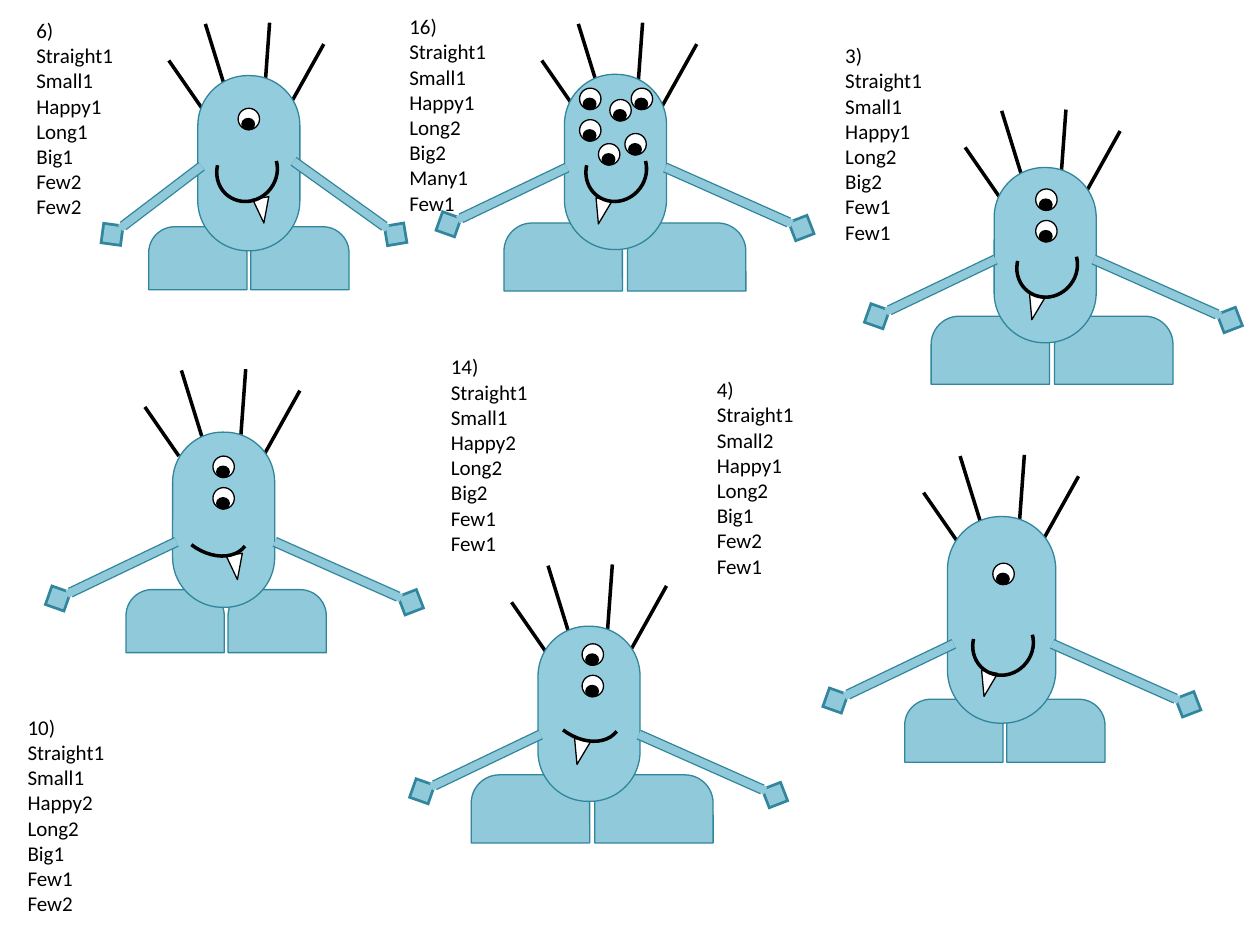
from pptx import Presentation
from pptx.dml.color import RGBColor as RGB
from pptx.enum.shapes import MSO_CONNECTOR as LINK, MSO_SHAPE as KIND
from pptx.enum.text import MSO_AUTO_SIZE as FIT
from pptx.oxml.ns import qn
from pptx.util import Inches, Pt
from lxml import etree

COLORS = {"body": "93CDDD", "limb": "90C9DA", "edge": "31859C",
          "black": "000000", "white": "FFFFFF"}

deck = Presentation()
deck.slide_width, deck.slide_height = Inches(10), Inches(7.5)
slide = deck.slides.add_slide(deck.slide_layouts[6])


def add_part(kind, x, y, w, h, fill, edge, adj=(), turn=0, width=0.75):
    part = slide.shapes.add_shape(kind, Inches(x), Inches(y), Inches(w), Inches(h))
    part.shadow.inherit = False
    for i, val in enumerate(adj):
        part.adjustments[i] = val
    part.rotation = turn
    if fill:
        part.fill.solid()
        part.fill.fore_color.rgb = RGB.from_string(COLORS[fill])
    else:
        part.fill.background()
    part.line.color.rgb = RGB.from_string(COLORS[edge])
    part.line.width = Pt(width)


def add_line(x, y, ends, color, width, hand=False):
    x1, y1, x2, y2 = ends
    line = slide.shapes.add_connector(
        LINK.STRAIGHT, Inches(x + x1), Inches(y + y1), Inches(x + x2), Inches(y + y2))
    line.line.color.rgb = RGB.from_string(COLORS[color])
    line.line.width = Pt(width)
    if hand:
        etree.SubElement(line.line._get_or_add_ln(), qn("a:tailEnd"), type="diamond")
    etree.SubElement(line._element.spPr, qn("a:effectLst"))


# Trait lists
LABELS = [
    (0.19, 0.09, 0.82, "6) Straight1 Small1 Happy1 Long1 Big1 Few2 Few2"),
    (0.12, 5.62, 0.82, "10) Straight1 Small1 Happy2 Long2 Big1 Few1 Few2"),
    (3.15, 0.06, 0.85, "16) Straight1 Small1 Happy1 Long2 Big2 Many1 Few1"),
    (6.61, 0.29, 0.82, "3) Straight1 Small1 Happy1 Long2 Big2 Few1 Few1"),
    (3.48, 2.76, 0.82, "14) Straight1 Small1 Happy2 Long2 Big2 Few1 Few1"),
    (5.59, 2.94, 0.82, "4) Straight1 Small2 Happy1 Long2 Big1 Few2 Few1"),
]
for x, y, w, words in LABELS:
    box = slide.shapes.add_textbox(Inches(x), Inches(y), Inches(w), Inches(1.72))
    frame = box.text_frame
    frame.text = "\n".join(words.split())
    frame.word_wrap = False
    frame.auto_size = FIT.SHAPE_TO_FIT_TEXT
    for para in frame.paragraphs:
        font = para.runs[0].font
        font.size, font.name = Pt(12), "Calibri"
        font.color.rgb = RGB.from_string(COLORS["black"])

# Variants of each trait, as offsets from the part's anchor
HAIR = [(0, 0, 0.27, 0.39), (0.29, -0.29, 0.46, 0.26),
        (0.8, -0.3, 0.76, 0.25), (1.23, -0.13, 0.94, 0.39)]
BODY = {"Small1": (0.81, 1.39), "Small2": (0.86, 1.64)}
ARMS = {"Long1": [(0, 0, -0.71, 0.54), (0.73, -0.04, 1.54, 0.54)],
        "Long2": [(0, 0, -0.94, 0.45), (0.78, 0, 1.86, 0.48)]}
FEET = {"Big1": (0.78, 0.5, 0.81), "Big2": (0.94, 0.54, 0.98)}
MOUTH = {"Happy1": (0.47, (128.56, 37.85)), "Happy2": (0.69, ())}
TOOTH = {"Few1": 11, "Few2": -9.2}

# Monsters: each part with its variant and anchor
MONSTERS = [
    dict(hair=(1.34, 0.48), body=("Small1", 1.57, 0.6), arms=("Long1", 1.6, 1.32),
         feet=("Big1", 1.18, 1.8), mouth=("Happy1", 1.71, 1.12),
         tooth=("Few2", 2.02, 1.57), eyes=[(1.89, 0.86)]),
    dict(hair=(4.3, 0.48), body=("Small1", 4.48, 0.59), arms=("Long2", 4.5, 1.33),
         feet=("Big2", 4, 1.77), mouth=("Happy1", 4.64, 1.12),
         tooth=("Few1", 4.71, 1.58),
         eyes=[(4.6, 0.7), (4.6, 0.95), (4.84, 0.79), (4.96, 1.06),
               (5.01, 0.7), (4.75, 1.14)]),
    dict(hair=(7.66, 1.17), body=("Small1", 7.89, 1.33), arms=("Long2", 7.9, 2.06),
         feet=("Big2", 7.39, 2.51), mouth=("Happy1", 8.06, 1.88),
         tooth=("Few1", 8.15, 2.34), eyes=[(8.22, 1.5), (8.22, 1.75)]),
    dict(hair=(1.15, 3.23), body=("Small1", 1.37, 3.43), arms=("Long2", 1.4, 4.3),
         feet=("Big1", 1, 4.68), mouth=("Happy2", 1.42, 3.78),
         tooth=("Few2", 1.81, 4.4), eyes=[(1.69, 3.62), (1.69, 3.87)]),
    dict(hair=(4.06, 4.78), body=("Small1", 4.27, 4.97), arms=("Long2", 4.29, 5.83),
         feet=("Big2", 3.74, 6.15), mouth=("Happy2", 4.37, 5.25),
         tooth=("Few1", 4.54, 5.87), eyes=[(4.62, 5.11), (4.62, 5.36)]),
    dict(hair=(7.33, 3.91), body=("Small2", 7.52, 4.1), arms=("Long2", 7.57, 5.11),
         feet=("Big1", 7.18, 5.55), mouth=("Happy1", 7.71, 4.88),
         tooth=("Few1", 7.77, 5.33), eyes=[(7.88, 4.47)]),
]
for one in MONSTERS:
    # Feet
    size, x, y = one["feet"]
    w, h, step = FEET[size]
    for i in range(2):
        add_part(KIND.ROUND_2_SAME_RECTANGLE, x + i * step, y, w, h,
                 "limb", "edge", (0.414, 0))
    # Hair
    for ends in HAIR:
        add_line(*one["hair"], ends, "black", 2)
    # Body
    size, x, y = one["body"]
    add_part(KIND.ROUNDED_RECTANGLE, x, y, *BODY[size], "body", "edge", (0.49,))
    # Arms: a dark line under a lighter, thinner one
    size, x, y = one["arms"]
    for ends in ARMS[size]:
        for color, width in (("edge", 6), ("limb", 4.5)):
            add_line(x, y, ends, color, width, True)
    # Eyes
    for x, y in one["eyes"]:
        add_part(KIND.OVAL, x, y, 0.17, 0.17, "white", "black")
        add_part(KIND.OVAL, x + 0.03, y + 0.08, 0.1, 0.09, "black", "black")
    # Tooth, pointing down
    lean, x, y = one["tooth"]
    add_part(KIND.ISOSCELES_TRIANGLE, x, y, 0.13, 0.2, "white", "black",
             (0.557,), 180 + TOOTH[lean])
    # Mouth
    mood, x, y = one["mouth"]
    h, adj = MOUTH[mood]
    add_part(KIND.ARC, x, y, 0.5, h, None, "black", adj, 127.4, 2)

deck.save("out.pptx")
